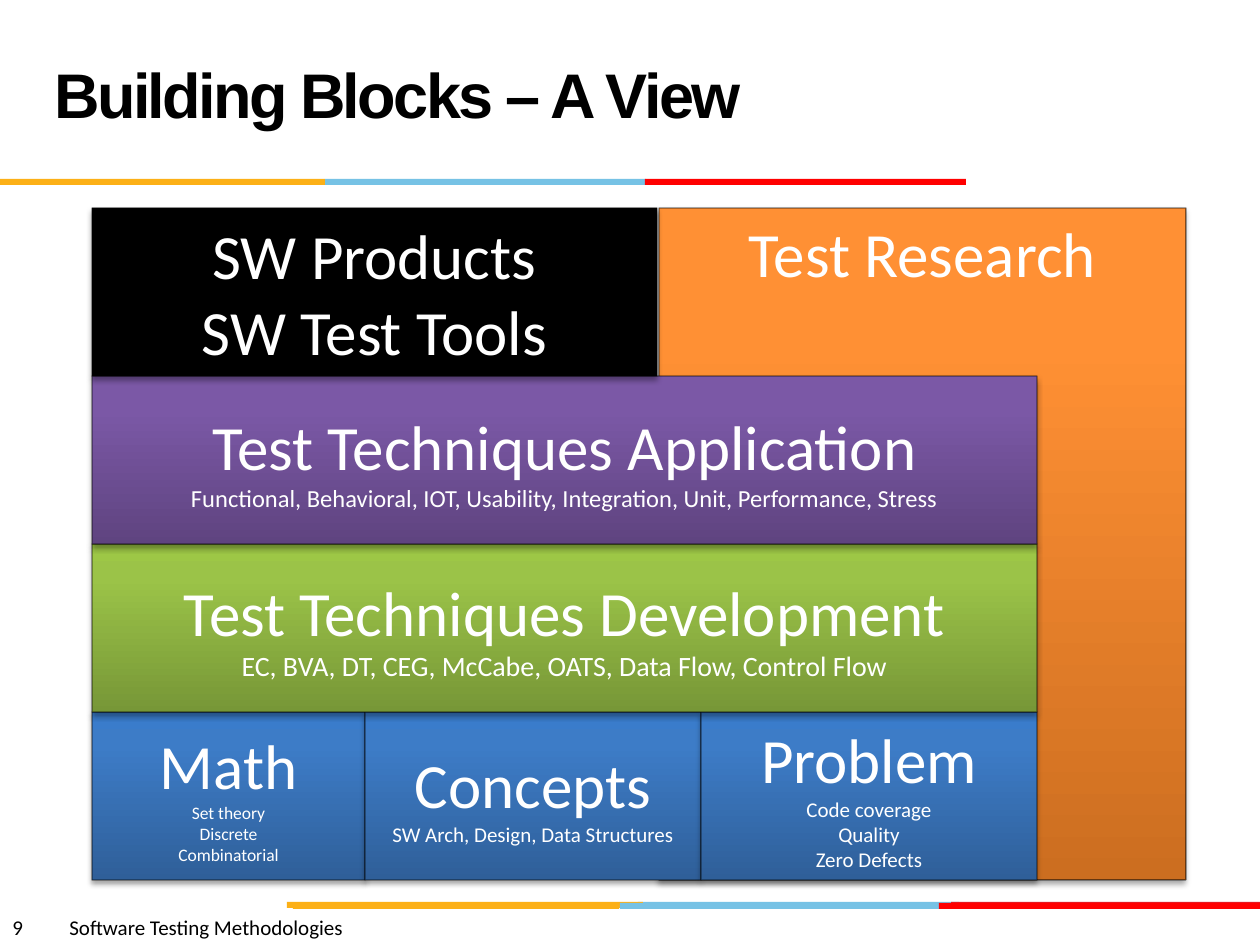
from dataclasses import dataclass

from lxml.etree import SubElement
from pptx import Presentation
from pptx.dml.color import RGBColor
from pptx.enum.shapes import MSO_SHAPE as SHAPE
from pptx.enum.text import MSO_ANCHOR as ANCHOR, PP_ALIGN as ALIGN
from pptx.oxml.ns import qn
from pptx.util import Emu, Pt


@dataclass(frozen=True)
class Theme:
    heading: str = "Arial"
    body: str = "Calibri"
    black: str = "000000"
    white: str = "FFFFFF"
    gold: str = "FCB017"
    sky: str = "76C2E5"
    red: str = "FF0000"
    crimson: str = "E31C24"
    orange: tuple = ("CC6E20", "FF9034", "FF9136")
    blue: tuple = ("2F5F99", "3D7CC7", "3A7CCB")
    green: tuple = ("779737", "9BC348", "9DC746")
    purple: tuple = ("5F4480", "7B58A6", "7C57A8")
    large: int = 36
    small: int = 12


T = Theme()
EMU_PER_PX = 914400 // 126
SLIDE = (1260, 945)
LEFT, TOP, ROW = 92, 208, 168
STOPS = (0, 80, 100)

BANDS = [
    (902, [(638, 959, T.sky), (951, 1260, T.crimson), (287, 643, T.gold)]),
    (903, [(620, 941, T.sky), (293, 619, T.gold), (939, 1260, T.red)]),
    (179, [(325, 646, T.sky), (0, 325, T.gold), (645, 966, T.red)]),
]
BAND_H = 6

TITLE = "Building Blocks – A View"
FOOTER = "9\tSoftware Testing Methodologies"

# first row, row span, left, right, fill, headings, details, detail size
BLOCKS = [
    (0, 4, 659, 1186, T.orange, ["Test Research"], [], T.small),
    (3, 1, LEFT, 365, T.blue, ["Math"], ["Set theory", "Discrete", "Combinatorial"], 10),
    (3, 1, 365, 701, T.blue, ["Concepts"], ["SW Arch, Design, Data Structures"], T.small),
    (3, 1, 701, 1037, T.blue, ["Problem"], ["Code coverage", "Quality", "Zero Defects"], T.small),
    (2, 1, LEFT, 1037, T.green, ["Test Techniques Development"],
     ["EC, BVA, DT, CEG, McCabe, OATS, Data Flow, Control Flow"], 16),
    (1, 1, LEFT, 1037, T.purple, ["Test Techniques Application"],
     ["Functional, Behavioral, IOT, Usability, Integration, Unit, Performance, Stress"], 14),
    (0, 1, LEFT, 657, T.black, ["SW Products", "SW Test Tools"], [], T.small),
]


def px(n):
    return Emu(n * EMU_PER_PX)


def rgb(code):
    return RGBColor.from_string(code)


def add_color(parent, code, alpha=None):
    clr = SubElement(parent, qn("a:srgbClr"), val=code)
    if alpha is not None:
        SubElement(clr, qn("a:alpha"), val=str(alpha * 1000))


def write(p, text, size=T.large, font=T.body, color=T.white, bold=False, align=None, spacing=None):
    p.alignment = align
    r = p.add_run()
    r.text = text
    r.font.size, r.font.name, r.font.bold = Pt(size), font, bold
    r.font.color.rgb = rgb(color)
    if spacing is not None:
        r.font._element.set("spc", str(int(spacing * 100)))


def add_rect(slide, left, top, width, height, fill):
    sp = slide.shapes.add_shape(SHAPE.RECTANGLE, px(left), px(top), px(width), px(height))
    sp.shadow.inherit = False
    if isinstance(fill, tuple):
        sp.fill.gradient()
        sp.fill.gradient_angle = 90
        stops = sp._element.spPr.find(".//" + qn("a:gsLst"))
        for old in list(stops):
            stops.remove(old)
        for pos, code in zip(STOPS, fill):
            add_color(SubElement(stops, qn("a:gs"), pos=str(pos * 1000)), code)
    else:
        sp.fill.solid()
        sp.fill.fore_color.rgb = rgb(fill)
    sp.line.fill.background()
    return sp


def add_block(slide, row, span, left, right, fill, headings, details, detail_size):
    sp = add_rect(slide, left, TOP + row * ROW, right - left, span * ROW, fill)
    sp.line.color.rgb = rgb(T.black)
    sp.line.width = Pt(0.75)
    spPr = sp._element.spPr
    line_color = spPr.find(qn("a:ln")).find(".//" + qn("a:srgbClr"))
    SubElement(line_color, qn("a:alpha"), val="50000")
    shadow = SubElement(spPr.find(qn("a:effectLst")), qn("a:outerShdw"),
                        blurRad=str(Pt(3.1)), dist=str(Pt(1.8)), dir="5400000", rotWithShape="0")
    add_color(shadow, T.black, 35)
    tf = sp.text_frame
    tf.word_wrap = False
    tf.vertical_anchor = ANCHOR.TOP if span > 1 else ANCHOR.MIDDLE
    lines = [(t, T.large) for t in headings] + [(t, detail_size) for t in details]
    for i, (text, size) in enumerate(lines):
        p = tf.add_paragraph() if i else tf.paragraphs[0]
        write(p, text, size=size, align=ALIGN.CENTER)


def add_textbox(slide, left, top, width, height, anchor=ANCHOR.TOP):
    tf = slide.shapes.add_textbox(px(left), px(top), px(width), px(height)).text_frame
    tf.word_wrap = True
    tf.vertical_anchor = anchor
    return tf.paragraphs[0]


def main():
    prs = Presentation()
    prs.slide_width, prs.slide_height = map(px, SLIDE)
    slide = prs.slides.add_slide(prs.slide_layouts[6])

    for top, bars in BANDS:
        for left, right, color in bars:
            add_rect(slide, left, top, right - left, BAND_H, color)

    p = add_textbox(slide, 0, 908, 630, 38)
    tabs = SubElement(p._p.get_or_add_pPr(), qn("a:tabLst"))
    SubElement(tabs, qn("a:tab"), pos=str(px(57)), algn="l")
    write(p, FOOTER, size=T.small, color=T.black)

    p = add_textbox(slide, 42, 21, 872, 158, ANCHOR.MIDDLE)
    p.line_spacing = Pt(T.large)
    write(p, TITLE, font=T.heading, color=T.black, bold=True, spacing=-1.5)

    for block in BLOCKS:
        add_block(slide, *block)

    prs.save("out.pptx")


if __name__ == "__main__":
    main()
